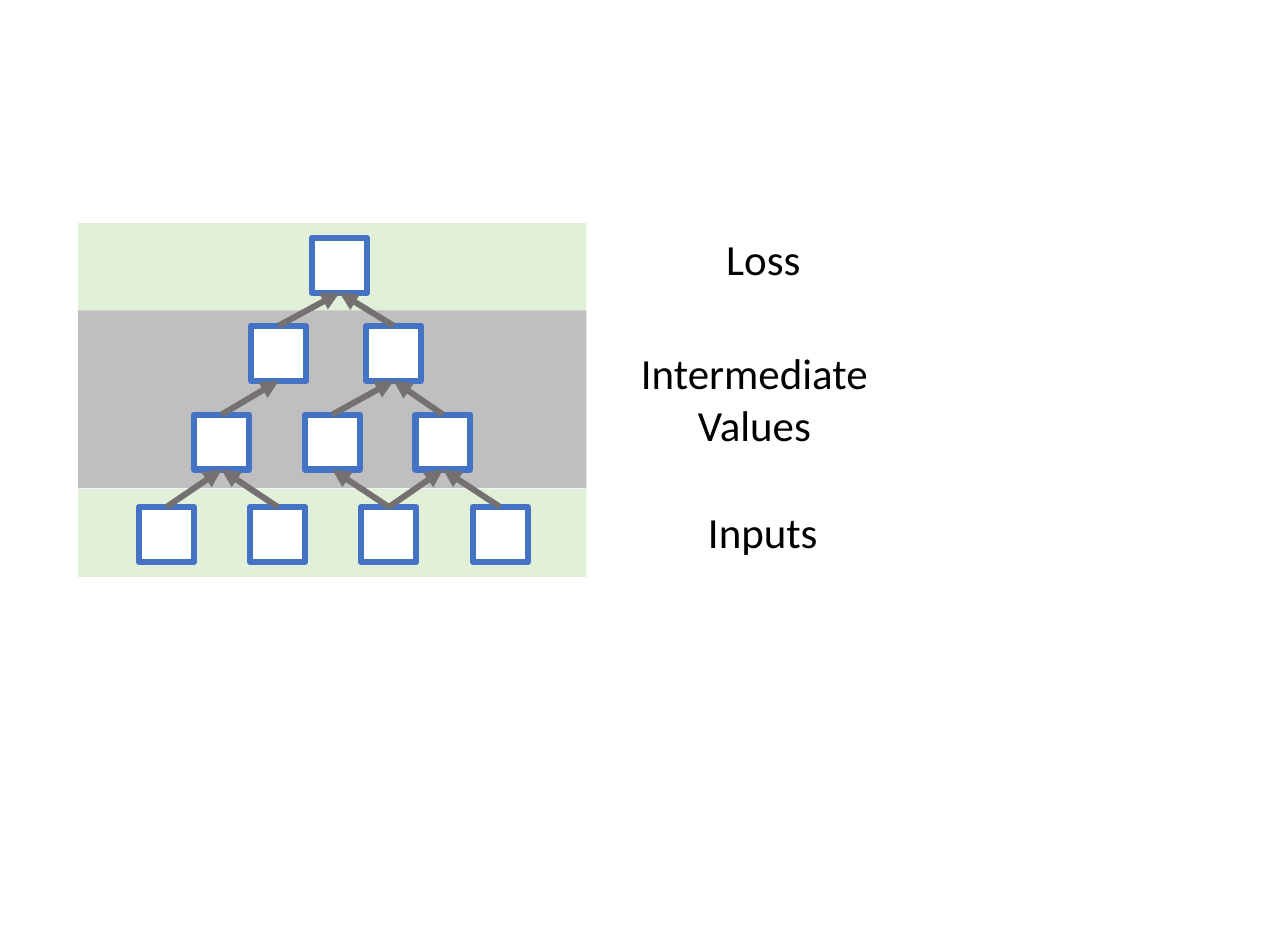
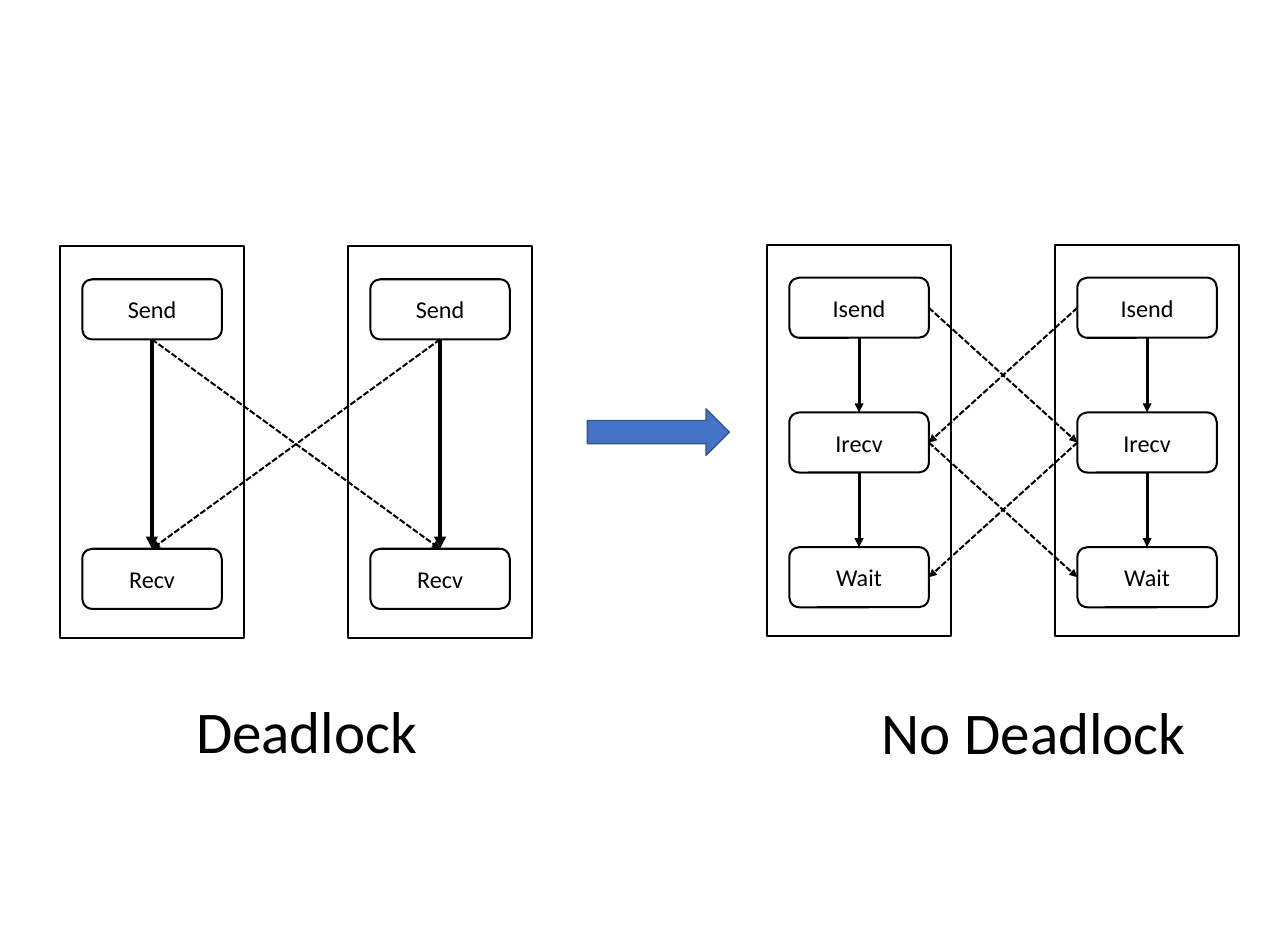
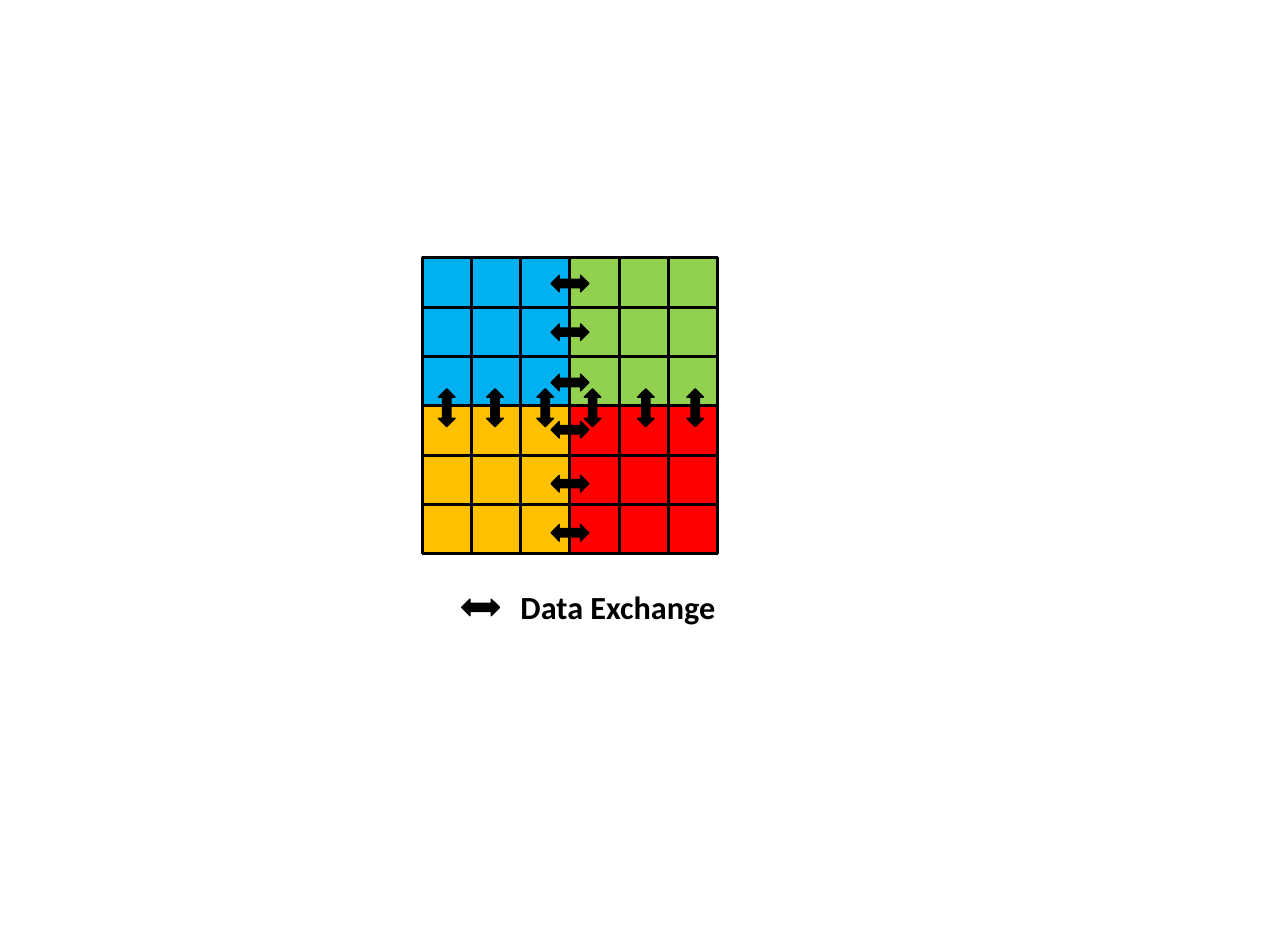
from lxml import etree
from pptx import Presentation
from pptx.dml.color import RGBColor
from pptx.enum import dml, shapes, text
from pptx.oxml.ns import qn
from pptx.util import Pt

BLACK = RGBColor(0x00, 0x00, 0x00)
WHITE = RGBColor(0xFF, 0xFF, 0xFF)
BLUE = RGBColor(0x44, 0x72, 0xC4)
DARK_BLUE = RGBColor(0x32, 0x54, 0x91)
DARK_GRAY = RGBColor(0x76, 0x71, 0x71)
GRAY = RGBColor(0xBF, 0xBF, 0xBF)
PALE_GREEN = RGBColor(0xE2, 0xF0, 0xD9)
SKY = RGBColor(0x00, 0xB0, 0xF0)
GREEN = RGBColor(0x92, 0xD0, 0x50)
AMBER = RGBColor(0xFF, 0xC0, 0x00)
RED = RGBColor(0xFF, 0x00, 0x00)

SHAPE = shapes.MSO_SHAPE
TOP, LEFT, BOTTOM, RIGHT = range(4)


class Canvas:
    """Draws styled elements, measured in points, on the current slide."""

    font = "Calibri"

    def __init__(self, width, height):
        self.deck = Presentation()
        self.deck.slide_width = Pt(width)
        self.deck.slide_height = Pt(height)
        self.page = None

    def new_page(self):
        self.page = self.deck.slides.add_slide(self.deck.slide_layouts[6])

    def set_words(self, box, words, size, align, bold=False):
        box.text_frame.text = words
        for para in box.text_frame.paragraphs:
            para.alignment = align
            for span in para.runs:
                span.font.name = self.font
                span.font.size = Pt(size)
                span.font.bold = bold
                span.font.color.rgb = BLACK

    def shape(self, kind, left, top, width, height, fill=None, line=None, weight=1):
        box = self.page.shapes.add_shape(kind, Pt(left), Pt(top), Pt(width), Pt(height))
        box.shadow.inherit = False
        if fill is None:
            box.fill.background()
        else:
            box.fill.solid()
            box.fill.fore_color.rgb = fill
        if line is None:
            box.line.fill.background()
        else:
            box.line.color.rgb = line
            box.line.width = Pt(weight)
        return box

    def step(self, words, left, top, width, height):
        box = self.shape(SHAPE.ROUNDED_RECTANGLE, left, top, width, height, None, BLACK, 1.5)
        self.set_words(box, words, 18, text.PP_ALIGN.CENTER)
        return box

    def label(self, words, left, top, width, height, size, align=text.PP_ALIGN.LEFT, bold=False):
        box = self.page.shapes.add_textbox(Pt(left), Pt(top), Pt(width), Pt(height))
        box.text_frame.word_wrap = False
        box.text_frame.auto_size = text.MSO_AUTO_SIZE.SHAPE_TO_FIT_TEXT
        self.set_words(box, words, size, align, bold)

    def arrow(self, source, source_side, target, target_side, color, weight, dashed=False):
        link = self.page.shapes.add_connector(shapes.MSO_CONNECTOR.STRAIGHT, 0, 0, 0, 0)
        link.begin_connect(source, source_side)
        link.end_connect(target, target_side)
        link.line.color.rgb = color
        link.line.width = Pt(weight)
        if dashed:
            link.line.dash_style = dml.MSO_LINE.SQUARE_DOT
        properties = link._element.spPr
        etree.SubElement(properties.find(qn("a:ln")), qn("a:tailEnd"), type="triangle")
        etree.SubElement(properties, qn("a:effectLst"))

    def exchange(self, center_x, center_y, rotation=0):
        width, height = 28.2, 12.4
        box = self.shape(SHAPE.LEFT_RIGHT_ARROW, center_x - width / 2, center_y - height / 2,
                         width, height, BLACK, BLACK)
        box.rotation = rotation


def draw_graph(canvas):
    """Draw the layered computation graph."""
    canvas.new_page()
    for top, height, fill in ((166.2, 66.2, PALE_GREEN), (364.2, 65.6, PALE_GREEN),
                              (231.2, 132.5, GRAY)):
        canvas.shape(SHAPE.RECTANGLE, 58.2, top, 378.8, height, fill)

    side = 41
    rows = ((1, 232.6, 0, 177.1), (2, 187.2, 85.7, 242.7),
            (3, 144.7, 82.5, 308.9), (4, 103.6, 82.9, 377.8))
    nodes = [[canvas.shape(SHAPE.RECTANGLE, left + column * gap, top, side, side, WHITE, BLUE, 4.5)
              for column in range(count)] for count, left, gap, top in rows]
    edges = ((3, 0, 0), (3, 1, 0), (3, 2, 2), (3, 2, 1), (3, 3, 2),
             (2, 0, 0), (2, 1, 1), (2, 2, 1), (1, 0, 0), (1, 1, 0))
    for row, child, parent in edges:
        canvas.arrow(nodes[row][child], TOP, nodes[row - 1][parent], BOTTOM, DARK_GRAY, 4.5)

    canvas.label("Inputs", 520.6, 373, 97.2, 46, 32)
    canvas.label("Intermediate\nValues", 469.4, 254.9, 185.8, 85, 32, text.PP_ALIGN.CENTER)
    canvas.label("Loss", 534.2, 169.9, 70.6, 46, 32)


def draw_process(canvas, left, top, steps, weight):
    """Draw one framed process and return its step boxes."""
    canvas.shape(SHAPE.RECTANGLE, left, top, 137.6, 291.6, None, BLACK, 1.5)
    pitch = 200.8 / (len(steps) - 1)
    boxes = [canvas.step(words, left + 16.7, top + 24.5 + index * pitch, 104, 44.8)
             for index, words in enumerate(steps)]
    for upper, lower in zip(boxes, boxes[1:]):
        canvas.arrow(upper, BOTTOM, lower, TOP, BLACK, weight)
    return boxes


def draw_deadlock(canvas):
    """Draw blocking and non-blocking message exchange side by side."""
    canvas.new_page()
    groups = ((44.6, 183.6, ("Send", "Recv"), 3, (BOTTOM, TOP), (BOTTOM, TOP)),
              (571.6, 182.4, ("Isend", "Irecv", "Wait"), 2.25, (RIGHT, LEFT), (LEFT, RIGHT)))
    for left, top, steps, weight, rightward, leftward in groups:
        first, second = [draw_process(canvas, left + shift, top, steps, weight)
                         for shift in (0, 214.7)]
        for index in range(len(steps) - 1):
            canvas.arrow(first[index], rightward[0], second[index + 1], rightward[1],
                         BLACK, 1.5, True)
            canvas.arrow(second[index], leftward[0], first[index + 1], leftward[1],
                         BLACK, 1.5, True)

    canvas.shape(SHAPE.RIGHT_ARROW, 437.8, 304.6, 105.8, 34.6, BLUE, DARK_BLUE)
    canvas.label("Deadlock", 139, 514.1, 181.4, 60.5, 44)
    canvas.label("No Deadlock", 650.2, 514.8, 243.4, 60.5, 44)


def draw_exchange(canvas):
    """Draw the partitioned grid and the exchanges across its borders."""
    canvas.new_page()
    cell, half = 36.72, 3
    quadrants = ((SKY, GREEN), (AMBER, RED))
    for row in range(2 * half):
        for column in range(2 * half):
            canvas.shape(SHAPE.RECTANGLE, 314.6 + column * cell, 192.2 + row * cell, cell, cell,
                         quadrants[row // half][column // half], BLACK, 2.25)
    for center_y in (211.3, 247.5, 285, 320.2, 360.4, 397):
        canvas.exchange(424.8, center_y)
    for center_x in (333, 369, 406.4, 441.7, 481.4, 518.2):
        canvas.exchange(center_x, 303.8, 270)
    canvas.exchange(358.2, 452.6)
    canvas.label("Data Exchange", 380.9, 434.2, 161.3, 36, 24, bold=True)


def main():
    """Build and save the deck."""
    canvas = Canvas(960, 705.6)
    draw_graph(canvas)
    draw_deadlock(canvas)
    draw_exchange(canvas)
    canvas.deck.save("out.pptx")


if __name__ == "__main__":
    main()
